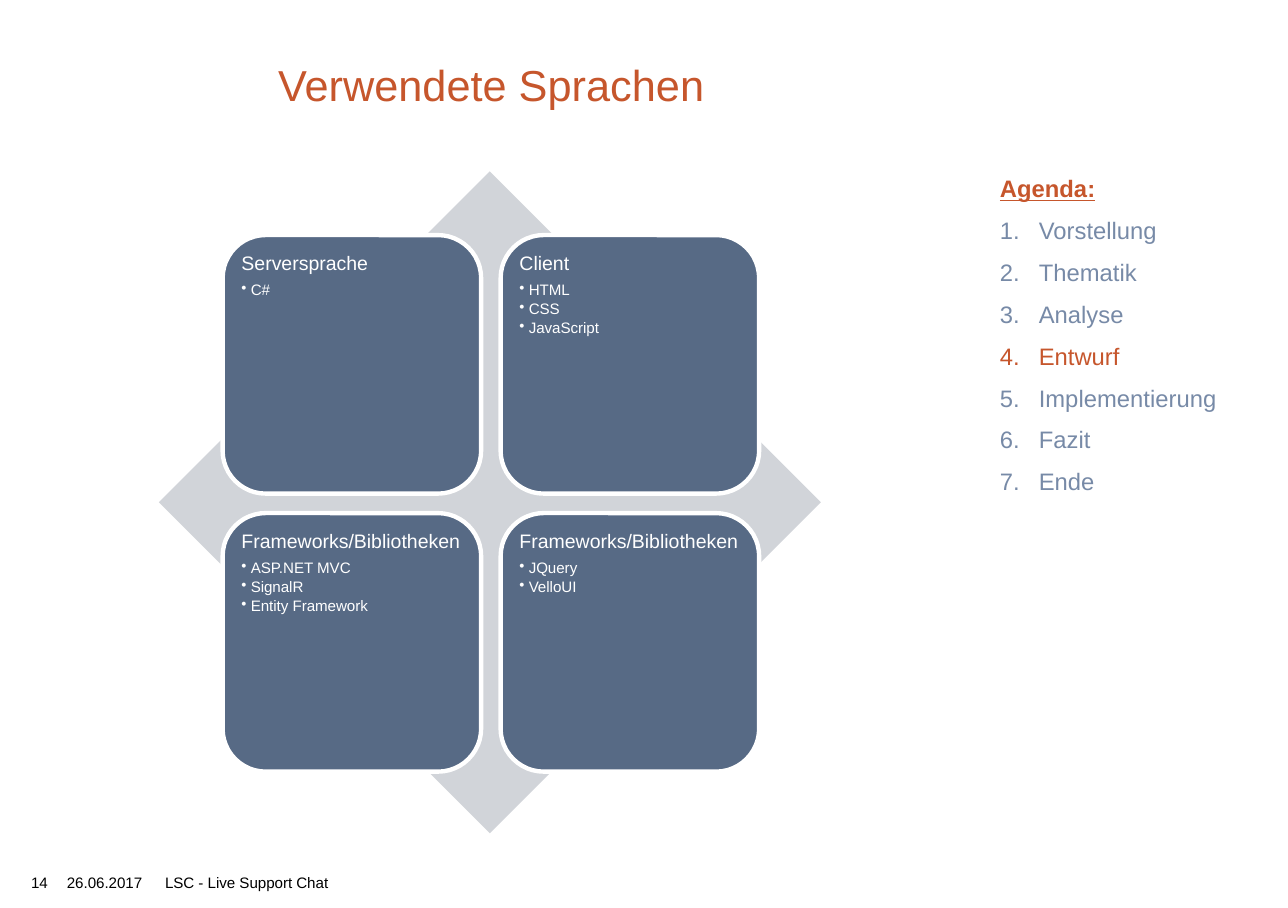
import pptx
import pptx.util
import pptx.dml.color
import pptx.enum.shapes
import pptx.enum.text
import pptx.oxml.ns
from dataclasses import dataclass
from lxml import etree
from pptx.util import Inches


@dataclass(frozen=True)
class Theme:
    font: str = "Arial"
    accent: str = "C6562C"
    muted: str = "778AA7"
    card: str = "576A85"
    diamond: str = "D1D4D9"
    white: str = "FFFFFF"
    black: str = "000000"
    title_size: int = 20
    agenda_size: int = 11
    heading_size: int = 9
    small_size: int = 7


THEME = Theme()

AGENDA = ["Vorstellung", "Thematik", "Analyse", "Entwurf",
          "Implementierung", "Fazit", "Ende"]
CURRENT_TOPIC = "Entwurf"

# Rows and columns of the matrix: heading and entries
LANGUAGES = [
    [("Serversprache", ["C#"]),
     ("Client", ["HTML", "CSS", "JavaScript"])],
    [("Frameworks/Bibliotheken", ["ASP.NET MVC", "SignalR", "Entity Framework"]),
     ("Frameworks/Bibliotheken", ["JQuery", "VelloUI"])],
]

# Left edge, width and text
FOOTER = [(0.2, 0.24, "14"),
          (0.43, 0.63, "26.06.2017"),
          (1.06, 5.04, "LSC - Live Support Chat")]


def rgb(color):
    return pptx.dml.color.RGBColor.from_string(color)


def place(shape, left, top, width, height):
    shape.left, shape.top = Inches(left), Inches(top)
    shape.width, shape.height = Inches(width), Inches(height)


def set_frame(frame, anchor, left=0, top=0, right=0, bottom=0):
    frame.word_wrap = True
    frame.auto_size = pptx.enum.text.MSO_AUTO_SIZE.NONE
    frame.vertical_anchor = anchor
    frame.margin_left, frame.margin_top = Inches(left), Inches(top)
    frame.margin_right, frame.margin_bottom = Inches(right), Inches(bottom)


def style(paragraph, size, color, align=pptx.enum.text.PP_ALIGN.LEFT,
          spacing=1.0, before=0, after=0, strong=False):
    paragraph.alignment = align
    paragraph.line_spacing = spacing
    paragraph.space_before = pptx.util.Pt(before)
    paragraph.space_after = pptx.util.Pt(after)
    for run in paragraph.runs:
        run.font.name = THEME.font
        run.font.size = pptx.util.Pt(size)
        run.font.color.rgb = rgb(color)
        run.font.bold = strong
        run.font.underline = strong


def set_marker(paragraph, tag, indent=0, **attributes):
    """Give a paragraph its bullet or number with a hanging indent."""
    properties = paragraph._p.get_or_add_pPr()
    properties.set("marL", str(Inches(indent)))
    properties.set("indent", str(-Inches(indent)))
    etree.SubElement(properties, pptx.oxml.ns.qn(tag), attributes)


def add_title(slide, text):
    title = slide.shapes.title
    place(title, 0.2, 0.16, 5.91, 0.55)
    title.text_frame.text = text
    set_frame(title.text_frame, pptx.enum.text.MSO_ANCHOR.BOTTOM)
    style(title.text_frame.paragraphs[0], THEME.title_size, THEME.accent,
          pptx.enum.text.PP_ALIGN.CENTER)


def add_agenda(slide):
    agenda = slide.placeholders[1]
    place(agenda, 6.42, 1.1, 1.65, 4.25)
    agenda.text_frame.text = "\n".join(["Agenda:"] + AGENDA)
    set_frame(agenda.text_frame, pptx.enum.text.MSO_ANCHOR.TOP)
    heading, *topics = agenda.text_frame.paragraphs
    style(heading, THEME.agenda_size, THEME.accent, spacing=1.1,
          before=2.4, after=2.4, strong=True)
    set_marker(heading, "a:buNone")
    for topic in topics:
        color = THEME.accent if topic.text == CURRENT_TOPIC else THEME.muted
        style(topic, THEME.agenda_size, color, spacing=1.1, before=2.4, after=2.4)
        set_marker(topic, "a:buAutoNum", 0.25, type="arabicPeriod")


def add_filled_shape(slide, kind, left, top, size, color):
    shape = slide.shapes.add_shape(kind, Inches(left), Inches(top),
                                   Inches(size), Inches(size))
    shape.shadow.inherit = False
    shape.fill.solid()
    shape.fill.fore_color.rgb = rgb(color)
    shape.line.fill.background()
    return shape


def add_card(slide, left, top, size, heading, entries):
    card = add_filled_shape(slide, pptx.enum.shapes.MSO_SHAPE.ROUNDED_RECTANGLE,
                            left, top, size, THEME.card)
    card.line.color.rgb = rgb(THEME.white)
    card.line.width = pptx.util.Pt(2)
    card.text_frame.text = "\n".join([heading] + entries)
    set_frame(card.text_frame, pptx.enum.text.MSO_ANCHOR.TOP, 0.04, 0.04, 0.02, 0.04)
    headline, *items = card.text_frame.paragraphs
    style(headline, THEME.heading_size, THEME.white, spacing=0.9, after=3.6)
    for item in items:
        item.level = 1
        style(item, THEME.small_size, THEME.white, spacing=0.9, after=1.2)
        set_marker(item, "a:buChar", 0.06, char="•")


def add_matrix(slide):
    add_filled_shape(slide, pptx.enum.shapes.MSO_SHAPE.DIAMOND,
                     1.02, 1.1, 4.25, THEME.diamond)
    left, top, size, pitch = 1.43, 1.51, 1.66, 1.785
    for row, cards in enumerate(LANGUAGES):
        for column, (heading, entries) in enumerate(cards):
            add_card(slide, left + column * pitch, top + row * pitch, size,
                     heading, entries)


def add_footer(slide):
    for left, width, text in FOOTER:
        note = slide.shapes.add_textbox(Inches(left), Inches(5.61),
                                        Inches(width), Inches(0.14))
        note.text_frame.text = text
        set_frame(note.text_frame, pptx.enum.text.MSO_ANCHOR.TOP)
        style(note.text_frame.paragraphs[0], THEME.small_size, THEME.black)


def main():
    presentation = pptx.Presentation()
    presentation.slide_width = Inches(8.27)
    presentation.slide_height = Inches(5.83)
    slide = presentation.slides.add_slide(presentation.slide_layouts[1])
    slide.background.fill.solid()
    slide.background.fill.fore_color.rgb = rgb(THEME.white)

    add_title(slide, "Verwendete Sprachen")
    add_agenda(slide)
    add_footer(slide)
    add_matrix(slide)
    presentation.save("out.pptx")


if __name__ == "__main__":
    main()
